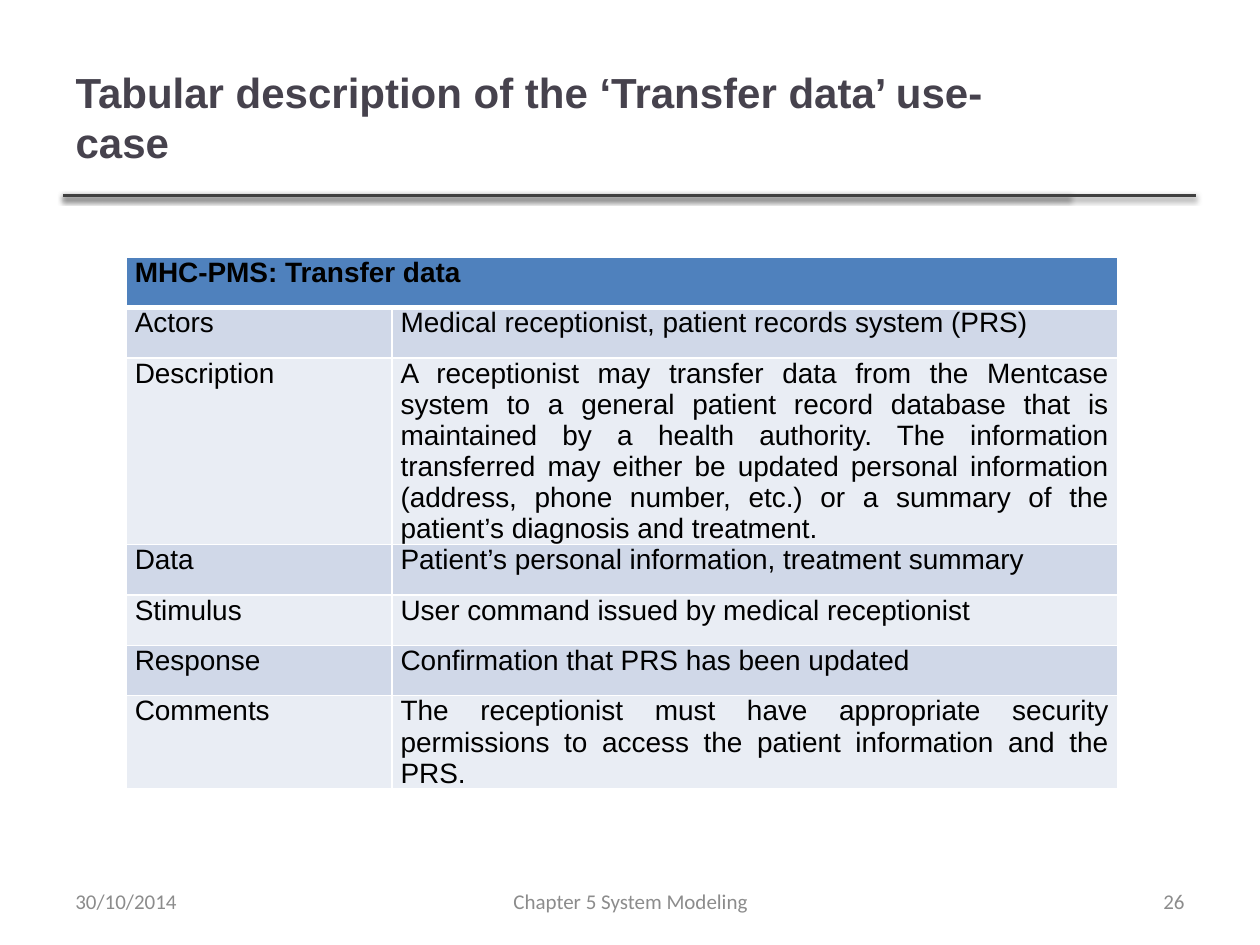
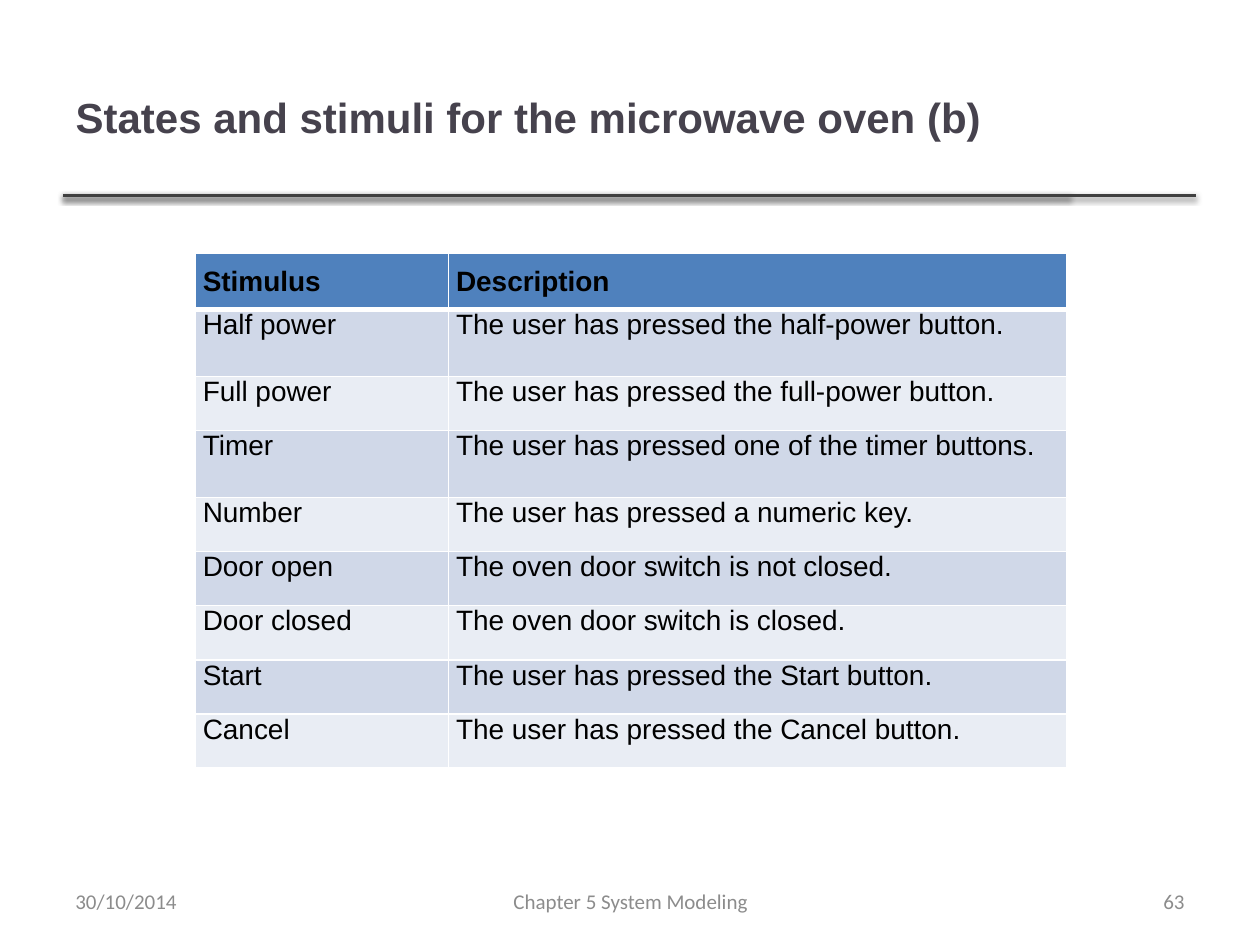
"""Build two slides that describe a use-case and the stimuli of a microwave oven."""
from dataclasses import dataclass

from lxml import etree
from pptx import Presentation
from pptx import util as u
from pptx.dml.color import RGBColor
from pptx.enum import shapes, text
from pptx.oxml import ns, parse_xml

SLIDE_WIDTH, SLIDE_HEIGHT = u.Inches(10), u.Inches(7.5)
MARGIN = u.Inches(0.5)
RULE_Y = u.Inches(1.55)
RULE_ENDS = (u.Inches(8.49), u.Inches(9.49))
FOOTER_TOP, FOOTER_HEIGHT = u.Inches(6.95), u.Inches(0.4)

TITLE_COLOR = RGBColor(0x46, 0x42, 0x4D)
RULE_COLOR = RGBColor(0x40, 0x40, 0x40)
FOOTER_COLOR = RGBColor(0x8C, 0x8C, 0x8C)
CELL_TEXT_COLOR = RGBColor(0, 0, 0)
BORDER_COLOR = RGBColor(0xFF, 0xFF, 0xFF)
HEADER_FILL = RGBColor(0x4F, 0x81, 0xBD)
BAND_FILLS = (RGBColor(0xE9, 0xED, 0xF4), RGBColor(0xD0, 0xD8, 0xE8))

HEADING_FONT, FOOTER_FONT = "Arial", "Calibri"
DATE, CHAPTER = "30/10/2014", "Chapter 5 System Modeling"


@dataclass(frozen=True)
class Footer:
    """A footer field with its horizontal place and alignment."""

    content: str
    left: float
    width: float
    alignment: text.PP_ALIGN


@dataclass(frozen=True)
class TableSlide:
    """A titled slide that carries one banded table."""

    title: str
    number: int
    left: float
    top: float
    columns: tuple[float, ...]
    row_height: float
    side_inset: float
    header_top_inset: float
    bottom_inset: float
    rows: tuple[tuple[str, ...], ...]
    tall_rows: tuple[int, ...] = ()
    tall_height: float = 0


TABLE_SLIDES = (
    TableSlide(
        "Tabular description of the ‘Transfer data’ use-case", 26,
        left=1, top=2.04, columns=(2.11, 5.76), row_height=0.4,
        side_inset=0.07, header_top_inset=0, bottom_inset=0,
        rows=(
            ("MHC-PMS: Transfer data",),
            ("Actors", "Medical receptionist, patient records system (PRS)"),
            ("Description",
             "A receptionist may transfer data from the Mentcase system to a general "
             "patient record database that is maintained by a health authority. The "
             "information transferred may either be updated personal information "
             "(address, phone number, etc.) or a summary of the patient’s diagnosis "
             "and treatment."),
            ("Data", "Patient’s personal information, treatment summary"),
            ("Stimulus", "User command issued by medical receptionist"),
            ("Response", "Confirmation that PRS has been updated"),
            ("Comments",
             "The receptionist must have appropriate security permissions to access "
             "the patient information and the PRS."),
        ),
    ),
    TableSlide(
        "States and stimuli for the microwave oven (b)", 63,
        left=1.55, top=2.01, columns=(2.01, 4.91), row_height=0.43,
        side_inset=0.06, header_top_inset=0.1, bottom_inset=0.1,
        tall_rows=(1, 3), tall_height=0.53,
        rows=(
            ("Stimulus", "Description"),
            ("Half power", "The user has pressed the half-power button."),
            ("Full power", "The user has pressed the full-power button."),
            ("Timer", "The user has pressed one of the timer buttons."),
            ("Number", "The user has pressed a numeric key."),
            ("Door open", "The oven door switch is not closed."),
            ("Door closed", "The oven door switch is closed."),
            ("Start", "The user has pressed the Start button."),
            ("Cancel", "The user has pressed the Cancel button."),
        ),
    ),
)


def write(frame, content: str, font_name: str, size: float, color: RGBColor,
          alignment: text.PP_ALIGN, bold: bool = False) -> None:
    """Write one formatted run into the first paragraph of a text frame."""
    paragraph = frame.paragraphs[0]
    paragraph.alignment = alignment
    run = paragraph.add_run()
    run.text = content
    run.font.name, run.font.size, run.font.bold = font_name, u.Pt(size), bold
    run.font.color.rgb = color


def add_title(slide, content: str) -> None:
    """Place and format the title placeholder."""
    title = slide.shapes.title
    title.left, title.top = MARGIN, u.Inches(0.3)
    title.width, title.height = RULE_ENDS[0] - MARGIN, u.Inches(1.25)
    frame = title.text_frame
    frame.auto_size = text.MSO_AUTO_SIZE.NONE
    frame.word_wrap = True
    frame.vertical_anchor = text.MSO_ANCHOR.MIDDLE
    write(frame, content, HEADING_FONT, 24, TITLE_COLOR, text.PP_ALIGN.LEFT, bold=True)


def add_rules(slide) -> None:
    """Draw the overlapping shadowed rules below the title."""
    for end in RULE_ENDS:
        rule = slide.shapes.add_connector(
            shapes.MSO_CONNECTOR.STRAIGHT, MARGIN, RULE_Y, end, RULE_Y)
        rule.line.color.rgb = RULE_COLOR
        rule.line.width = u.Pt(2)
        rule.element.spPr.append(parse_xml(
            f'<a:effectLst {ns.nsdecls("a")}>'
            f'<a:outerShdw blurRad="{u.Pt(3.1)}" dist="{u.Pt(1.6)}" dir="5400000" '
            'rotWithShape="0"><a:srgbClr val="000000"><a:alpha val="38000"/>'
            '</a:srgbClr></a:outerShdw></a:effectLst>'))


def add_footers(slide, number: int) -> None:
    """Add the date, chapter name and slide number."""
    footers = (
        Footer(DATE, 0.5, 2.33, text.PP_ALIGN.LEFT),
        Footer(CHAPTER, 3.42, 3.17, text.PP_ALIGN.CENTER),
        Footer(str(number), 7.17, 2.33, text.PP_ALIGN.RIGHT),
    )
    for footer in footers:
        box = slide.shapes.add_textbox(
            u.Inches(footer.left), FOOTER_TOP, u.Inches(footer.width), FOOTER_HEIGHT)
        frame = box.text_frame
        frame.word_wrap = True
        frame.vertical_anchor = text.MSO_ANCHOR.MIDDLE
        write(frame, footer.content, FOOTER_FONT, 12, FOOTER_COLOR, footer.alignment)


def set_borders(cell, row_index: int) -> None:
    """Give a cell thin borders and a thick one between header and body."""
    widths = {"lnL": 1, "lnR": 1,
              "lnT": 3 if row_index == 1 else 1,
              "lnB": 3 if row_index == 0 else 1}
    properties = cell._tc.get_or_add_tcPr()
    for tag, width in widths.items():
        border = etree.SubElement(properties, ns.qn(f"a:{tag}"), w=str(u.Pt(width)))
        fill = etree.SubElement(border, ns.qn("a:solidFill"))
        etree.SubElement(fill, ns.qn("a:srgbClr"), val=str(BORDER_COLOR))


def add_table(slide, design: TableSlide) -> None:
    """Add the banded table, merging a header that has a single entry."""
    heights = [design.tall_height if index in design.tall_rows else design.row_height
               for index in range(len(design.rows))]
    table = slide.shapes.add_table(
        len(design.rows), len(design.columns),
        u.Inches(design.left), u.Inches(design.top),
        u.Inches(sum(design.columns)), u.Inches(sum(heights))).table
    for column, width in zip(table.columns, design.columns):
        column.width = u.Inches(width)
    if len(design.rows[0]) == 1:
        table.cell(0, 0).merge(table.cell(0, len(design.columns) - 1))
    for row_index, (entries, height) in enumerate(zip(design.rows, heights)):
        is_header = row_index == 0
        row = table.rows[row_index]
        row.height = u.Inches(height)
        for cell in row.cells:
            set_borders(cell, row_index)
            cell.fill.solid()
            cell.fill.fore_color.rgb = HEADER_FILL if is_header else BAND_FILLS[row_index % 2]
            cell.margin_left = cell.margin_right = u.Inches(design.side_inset)
            cell.margin_top = u.Inches(design.header_top_inset if is_header else 0)
            cell.margin_bottom = u.Inches(design.bottom_inset)
        for cell, entry in zip(row.cells, entries):
            write(cell.text_frame, entry, HEADING_FONT, 16, CELL_TEXT_COLOR,
                  text.PP_ALIGN.JUSTIFY, bold=is_header)


def main() -> None:
    """Build and save the presentation."""
    presentation = Presentation()
    presentation.slide_width, presentation.slide_height = SLIDE_WIDTH, SLIDE_HEIGHT
    title_only = presentation.slide_layouts.get_by_name("Title Only")
    for design in TABLE_SLIDES:
        slide = presentation.slides.add_slide(title_only)
        add_rules(slide)
        add_title(slide, design.title)
        add_table(slide, design)
        add_footers(slide, design.number)
    presentation.save("out.pptx")


if __name__ == "__main__":
    main()
